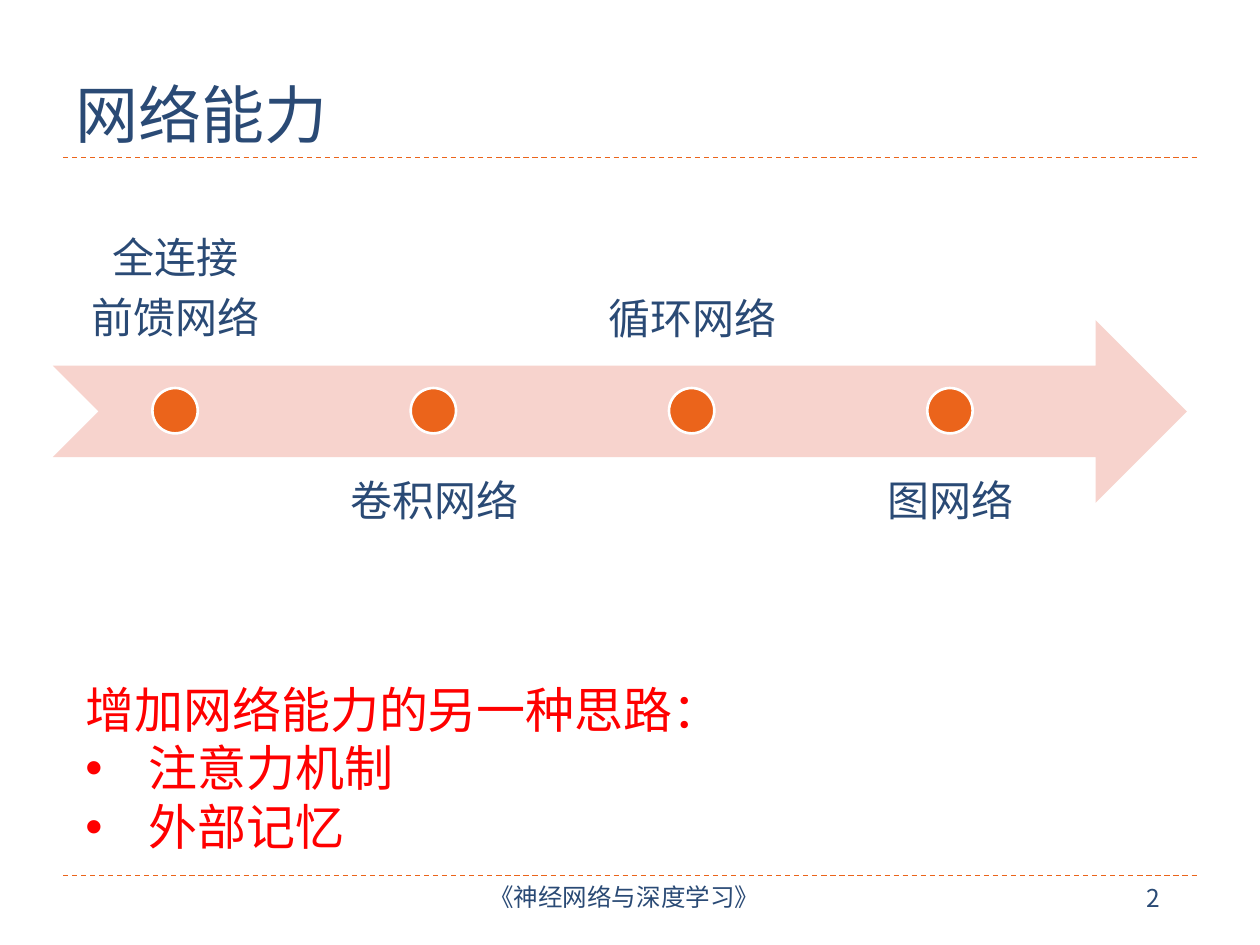
from lxml.etree import SubElement
from pptx import Presentation
from pptx.dml.color import RGBColor
from pptx.enum.dml import MSO_LINE
from pptx.enum.shapes import MSO_CONNECTOR, MSO_SHAPE
from pptx.enum.text import MSO_ANCHOR, MSO_AUTO_SIZE, PP_ALIGN
from pptx.oxml.ns import qn
from pptx.util import Inches, Pt

COLORS = {"navy": "2A4A75", "orange": "EB641B", "pink": "F7D3CD",
          "red": "FF0000", "white": "FFFFFF"}
CJK = "Noto Sans CJK SC"
STAGES = ["全连接\n前馈网络", "卷积网络", "循环网络", "图网络"]
IDEAS = ["增加网络能力的另一种思路：", "注意力机制", "外部记忆"]


def rgb(name):
    """Return the named palette colour."""
    return RGBColor.from_string(COLORS[name])


def style_text(tf, size, color, font, align=PP_ALIGN.LEFT):
    """Format every run of a text frame."""
    for p in tf.paragraphs:
        p.alignment = align
        for r in p.runs:
            r.font.size = Pt(size)
            r.font.name = font
            r.font.color.rgb = rgb(color)
            SubElement(r._r.get_or_add_rPr(), qn("a:ea"), typeface=CJK)


def add_text(shapes, box, text, size, color, font, align=PP_ALIGN.LEFT,
             anchor=MSO_ANCHOR.TOP, inset=None):
    """Add a wrapping text box and return its text frame."""
    tf = shapes.add_textbox(*map(Inches, box)).text_frame
    tf.word_wrap = True
    tf.vertical_anchor = anchor
    if inset is not None:
        tf.margin_left = tf.margin_right = Inches(inset)
        tf.margin_top = tf.margin_bottom = Inches(inset)
    tf.text = text
    style_text(tf, size, color, font, align)
    return tf


def add_shape(shapes, kind, box, fill, line=None):
    """Add a filled preset shape with an optional outline."""
    sp = shapes.add_shape(kind, *map(Inches, box))
    sp.shadow.inherit = False
    sp.fill.solid()
    sp.fill.fore_color.rgb = rgb(fill)
    if line:
        sp.line.color.rgb = rgb(line)
        sp.line.width = Pt(1.5)
    else:
        sp.line.fill.background()


def add_rule(shapes, y):
    """Add a dashed horizontal rule across the slide."""
    cxn = shapes.add_connector(MSO_CONNECTOR.STRAIGHT, Inches(0.5), Inches(y),
                               Inches(9.5), Inches(y))
    cxn.line.color.rgb = rgb("orange")
    cxn.line.width = Pt(0.75)
    cxn.line.dash_style = MSO_LINE.DASH
    SubElement(cxn._element.spPr, qn("a:effectLst"))


def add_title(slide, text):
    """Fill and place the title placeholder."""
    title = slide.shapes.title
    title.left, title.top = Inches(0.5), Inches(0.17)
    title.width, title.height = Inches(9), Inches(1.08)
    tf = title.text_frame
    tf.text = text
    tf.auto_size = MSO_AUTO_SIZE.NONE
    tf.vertical_anchor = MSO_ANCHOR.BOTTOM
    style_text(tf, 36, "navy", CJK)


def add_timeline(slide):
    """Add the arrow with its dots and alternating labels."""
    shapes = slide.shapes.add_group_shape().shapes
    add_shape(shapes, MSO_SHAPE.NOTCHED_RIGHT_ARROW, (0.42, 2.54, 9, 1.45), "pink")
    for i, stage in enumerate(STAGES):
        x = 0.42 + 2.05 * i
        y, anchor = ((3.63, MSO_ANCHOR.TOP) if i % 2
                     else (1.46, MSO_ANCHOR.BOTTOM))
        tf = add_text(shapes, (x, y, 1.95, 1.45), stage, 24, "navy", "Arial",
                      PP_ALIGN.CENTER, anchor, 0.19)
        for p in tf.paragraphs:
            p.line_spacing = 0.9
            after = SubElement(p._p.get_or_add_pPr(), qn("a:spcAft"))
            SubElement(after, qn("a:spcPct"), val="35000")
        add_shape(shapes, MSO_SHAPE.OVAL, (x + 0.79, 3.08, 0.36, 0.36),
                  "orange", "white")


def add_ideas(slide):
    """Add the red heading with its bulleted ideas."""
    tf = add_text(slide.shapes, (0.58, 5.34, 8.42, 1.51), "\n".join(IDEAS),
                  28, "red", "Arial")
    for p in tf.paragraphs[1:]:
        pPr = p._p.get_or_add_pPr()
        pPr.set("marL", str(Inches(0.5)))
        pPr.set("indent", str(-Inches(0.5)))
        SubElement(pPr, qn("a:buFont"), typeface="Arial")
        SubElement(pPr, qn("a:buChar"), char="•")


def main():
    """Build and save the slide."""
    prs = Presentation()
    prs.slide_width, prs.slide_height = Inches(10), Inches(7.5)
    s = prs.slides.add_slide(prs.slide_layouts[5])
    for y in (1.25, 6.95):
        add_rule(s.shapes, y)
    add_text(s.shapes, (3.33, 6.96, 3.25, 0.4), "《神经网络与深度学习》", 14,
             "navy", CJK, PP_ALIGN.CENTER, inset=0.04)
    number = add_text(s.shapes, (9, 6.96, 0.41, 0.34), "2", 14, "navy", CJK)
    number.word_wrap = False
    add_title(s, "网络能力")
    add_timeline(s)
    add_ideas(s)
    prs.save("out.pptx")


if __name__ == "__main__":
    main()
